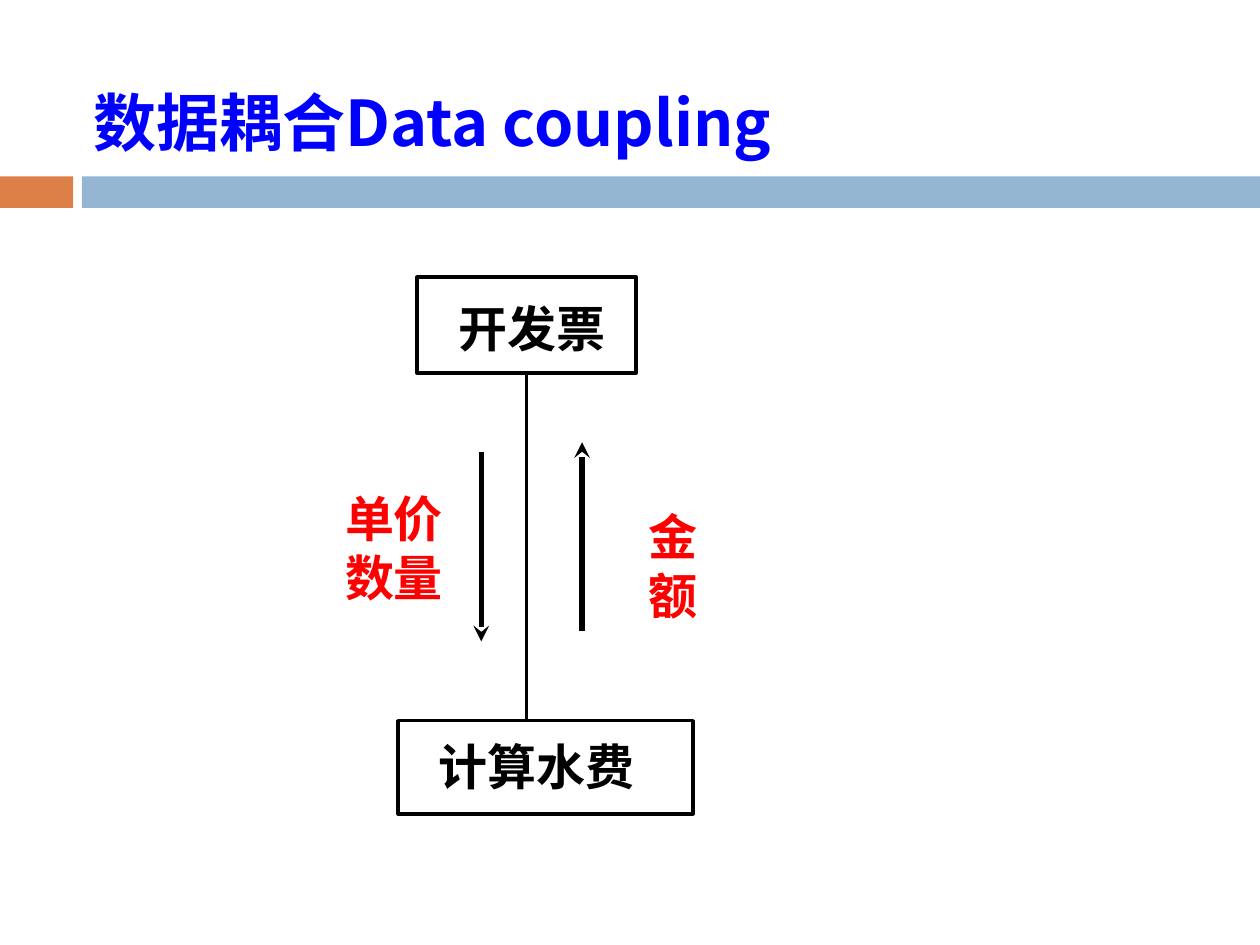
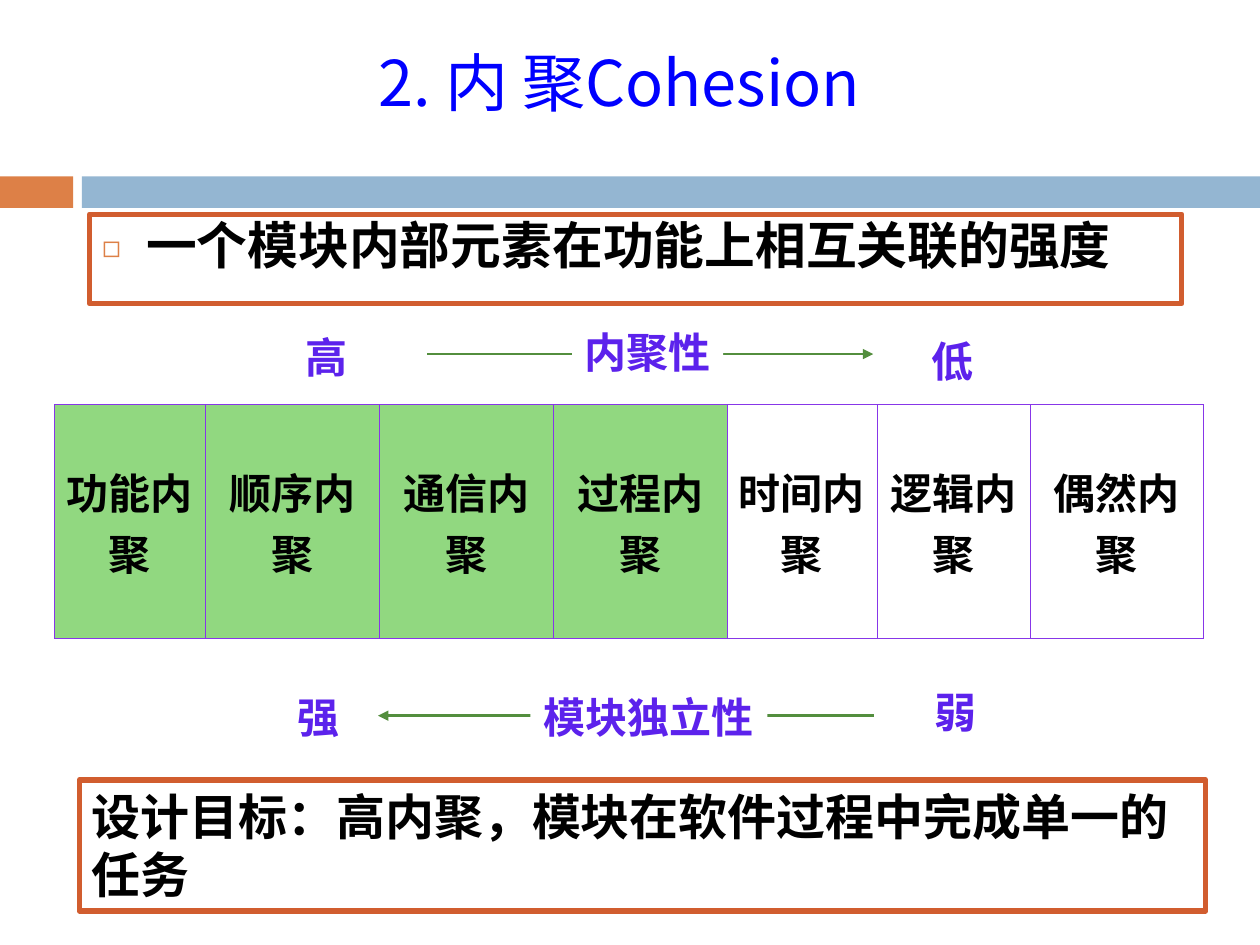
from lxml import etree
from pptx import Presentation
from pptx import util as u
from pptx.dml.color import RGBColor
from pptx.enum import shapes, text
from pptx.oxml import ns

Inches, Pt = u.Inches, u.Pt
SANS = "Noto Sans CJK SC"
BLACK, WHITE, BLUE, RED = "000000", "FFFFFF", "0000FF", "FF0000"
ORANGE, BAND, RUST = "DD8047", "94B6D2", "D15D2F"
GREEN, CELL, VIOLET, GRID = "538E3E", "91D880", "5C22EC", "8736E8"
LEFT, CENTER = text.PP_ALIGN.LEFT, text.PP_ALIGN.CENTER
TOP, MIDDLE = text.MSO_ANCHOR.TOP, text.MSO_ANCHOR.MIDDLE


def rgb(color):
    return RGBColor.from_string(color)


def sub(parent, tag, **attrs):
    """Append a drawing element such as a:tailEnd."""
    return etree.SubElement(parent, ns.qn(tag), attrs)


def write(tf, content, size=28, color=BLACK, bold=True, font=SANS,
          align=LEFT, anchor=TOP, wrap=True):
    """Fill a text frame, one paragraph for each line of content."""
    tf.word_wrap, tf.vertical_anchor = wrap, anchor
    tf.auto_size = text.MSO_AUTO_SIZE.NONE
    for i, line in enumerate(content.split("\n")):
        p = tf.add_paragraph() if i else tf.paragraphs[0]
        p.alignment, p.space_before = align, Pt(0)
        r = p.add_run()
        r.text = line
        r.font.size, r.font.bold = Pt(size), bold
        r.font.color.rgb = rgb(color)
        r.font.name = font
        sub(r._r.get_or_add_rPr(), "a:ea", typeface=SANS)


def place(sp, x, y, w, h):
    sp.left, sp.top, sp.width, sp.height = map(Inches, (x, y, w, h))


def outline(sp, color, width):
    sp.line.color.rgb = rgb(color)
    sp.line.width = Pt(width)


def rect(s, x, y, w, h, fill=None, line=None, width=2):
    sp = s.shapes.add_shape(shapes.MSO_SHAPE.RECTANGLE,
                            *map(Inches, (x, y, w, h)))
    sp.shadow.inherit = False
    if fill:
        sp.fill.solid()
        sp.fill.fore_color.rgb = rgb(fill)
    else:
        sp.fill.background()
    if line:
        outline(sp, line, width)
    else:
        sp.line.fill.background()
    return sp


def label(s, x, y, w, h, content, **fmt):
    sp = s.shapes.add_textbox(*map(Inches, (x, y, w, h)))
    write(sp.text_frame, content, **fmt)


def line(s, x1, y1, x2, y2, color=BLACK, width=2, **ends):
    """Straight line; ends may give headEnd or tailEnd an arrow type."""
    c = s.shapes.add_connector(shapes.MSO_CONNECTOR.STRAIGHT,
                               *map(Inches, (x1, y1, x2, y2)))
    outline(c, color, width)
    for end, kind in ends.items():
        sub(c.line._get_or_add_ln(), f"a:{end}", type=kind)
    sub(c._element.spPr, "a:effectLst")


def base_slide(prs, layout, title, box, **fmt):
    """Slide with the two-colour band and a blue title."""
    s = prs.slides.add_slide(prs.slide_layouts[layout])
    rect(s, 0, 1.4, 0.58, 0.25, fill=ORANGE)
    rect(s, 0.65, 1.4, 9.35, 0.25, fill=BAND)
    place(s.shapes.title, *box)
    write(s.shapes.title.text_frame, title, size=36, color=BLUE,
          anchor=MIDDLE, **fmt)
    return s


def module_diagram(s, x, y):
    """Two modules joined by a line, with the data passed each way."""
    rect(s, x + 0.15, y, 1.74, 0.76, fill=WHITE, line=BLACK)
    label(s, x + 0.38, y + 0.12, 1.44, 0.57, "开发票")
    line(s, x + 1.02, y + 0.76, x + 1.02, y + 3.52)
    rect(s, x, y + 3.52, 2.34, 0.74, fill=WHITE, line=BLACK)
    label(s, x + 0.22, y + 3.6, 2.13, 0.57, "计算水费")
    # Data going down and coming back
    for dx, start, end in ((0.66, 1.39, 2.89), (1.46, 2.81, 1.31)):
        line(s, x + dx, y + start, x + dx, y + end, width=3,
             tailEnd="stealth")
    label(s, x - 0.52, y + 1.63, 1.18, 1.04, "单价\n数量", color=RED)
    label(s, x + 1.89, y + 1.77, 0.91, 1.04, "金额", color=RED)


def definition(s, x, y, w, h, content):
    """Framed body placeholder with one square bullet."""
    sp = s.placeholders[1]
    place(sp, x, y, w, h)
    outline(sp, RUST, 3)
    write(sp.text_frame, content, size=29)
    p = sp.text_frame.paragraphs[0]
    pPr = p._p.get_or_add_pPr()
    pPr.set("marL", str(Inches(0.35)))
    pPr.set("indent", str(Inches(-0.35)))
    sub(sub(pPr, "a:buClr"), "a:srgbClr", val=ORANGE)
    sub(pPr, "a:buSzPct", val="60000")
    sub(pPr, "a:buFont", typeface=SANS)
    sub(pPr, "a:buChar", char="◻")
    p.line_spacing = 0.9


def scale(s, y, x1, x2, name, name_box, ends, **arrow):
    """Arrow with its name over the middle and a word at each end."""
    fmt = dict(size=24, color=VIOLET, font="Times New Roman",
               align=CENTER, wrap=False)
    line(s, x1, y, x2, y, color=GREEN, width=1.5, **arrow)
    x, dy, w = name_box
    sp = rect(s, x, y + dy, w, 0.5, fill=WHITE)
    write(sp.text_frame, name, **fmt)
    for word, left, shift in ends:
        label(s, left, y + shift, 0.6, 0.5, word, **fmt)


def border(cell):
    tcPr = cell._tc.get_or_add_tcPr()
    for i, side in enumerate(("lnL", "lnR", "lnT", "lnB")):
        ln = etree.Element(ns.qn(f"a:{side}"), w=str(Pt(0.45)))
        sub(sub(ln, "a:solidFill"), "a:srgbClr", val=GRID)
        tcPr.insert(i, ln)


def kinds_table(s, x, y, h, kinds, widths, good):
    """One row of cohesion kinds; the first good ones are green."""
    frame = s.shapes.add_table(1, len(kinds), *map(
        Inches, (x, y, sum(widths), h)))
    t = frame.table
    t.first_row = t.horz_banding = False
    for i, (kind, w) in enumerate(zip(kinds, widths)):
        t.columns[i].width = Inches(w)
        cell = t.cell(0, i)
        cell.margin_left = cell.margin_right = Inches(0.09)
        if i < good:
            cell.fill.solid()
            cell.fill.fore_color.rgb = rgb(CELL)
        else:
            cell.fill.background()
        write(cell.text_frame, kind + "内聚", size=24, align=CENTER)
        cell.vertical_anchor = MIDDLE
        border(cell)


def coupling_slide(prs):
    s = base_slide(prs, 5, "数据耦合Data coupling", (0.64, 0.45, 8.36, 1.02))
    module_diagram(s, 3.16, 2.2)


def cohesion_slide(prs):
    s = base_slide(prs, 1, "2. 内 聚Cohesion", (0.58, 0.28, 8.67, 0.73),
                   bold=False, align=CENTER)
    definition(s, 0.71, 1.7, 8.67, 0.71,
               "一个模块内部元素在功能上相互关联的强度")
    scale(s, 2.81, 3.39, 6.93, "内聚性", (4.54, -0.27, 1.2),
          (("高", 2.29, -0.23), ("低", 7.26, -0.2)), tailEnd="triangle")
    kinds_table(s, 0.43, 3.21, 1.86,
                ("功能", "顺序", "通信", "过程", "时间", "逻辑", "偶然"),
                (1.2, 1.38, 1.38, 1.38, 1.19, 1.22, 1.37), good=4)
    scale(s, 5.68, 3, 6.94, "模块独立性", (4.21, -0.24, 1.88),
          (("强", 2.23, -0.24), ("弱", 7.28, -0.28)), headEnd="triangle")
    # Design goal
    goal = rect(s, 0.63, 6.19, 8.94, 1.04, line=RUST, width=3)
    write(goal.text_frame, "设计目标：高内聚，模块在软件过程中完成单一的任务",
          font="Arial Narrow")


def main():
    prs = Presentation()
    prs.slide_width, prs.slide_height = Inches(10), Inches(7.5)
    coupling_slide(prs)
    cohesion_slide(prs)
    prs.save("out.pptx")


if __name__ == "__main__":
    main()
